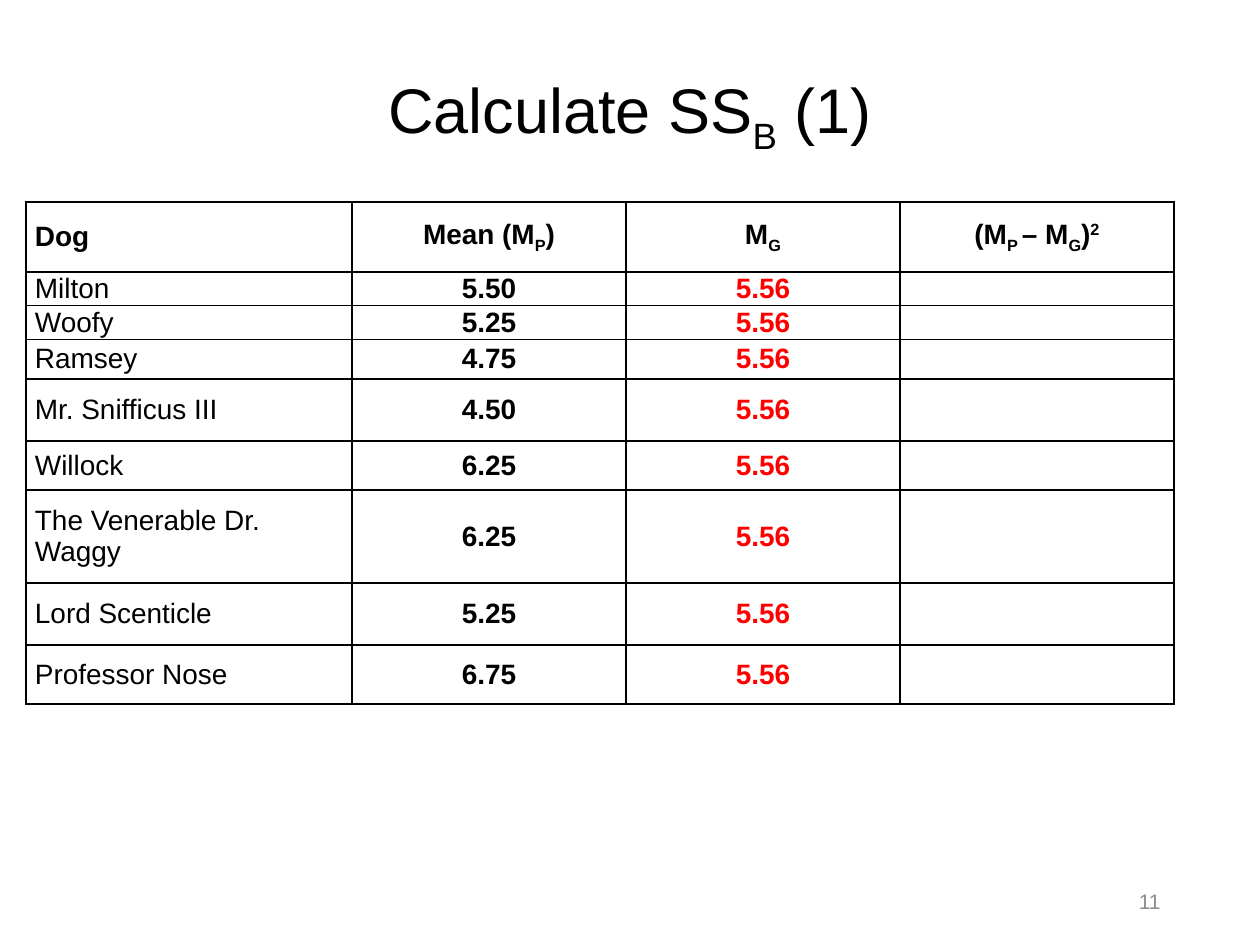
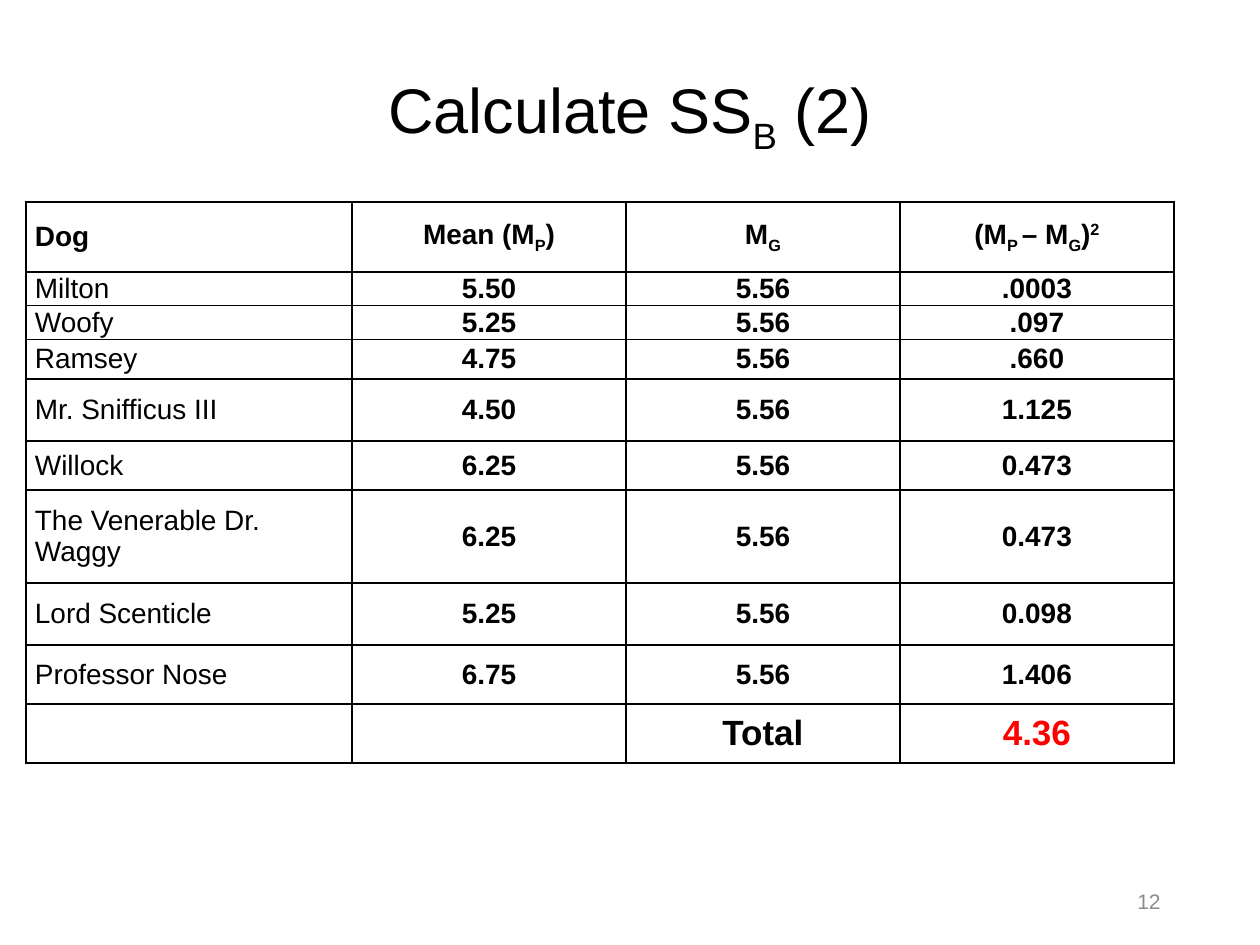
from dataclasses import dataclass

from lxml import etree
from pptx import Presentation
from pptx.dml.color import RGBColor
from pptx.enum.text import MSO_ANCHOR, PP_ALIGN
from pptx.oxml.ns import qn
from pptx.util import Emu, Pt

PX = 914400 / 126
BLACK = RGBColor(0x00, 0x00, 0x00)
RED = RGBColor(0xFF, 0x00, 0x00)
GREY = RGBColor(0x8C, 0x8C, 0x8C)
FONT = "Arial"
LEFT, CENTER, RIGHT = PP_ALIGN.LEFT, PP_ALIGN.CENTER, PP_ALIGN.RIGHT
MIDDLE = MSO_ANCHOR.MIDDLE
SUB, SUPER = -25, 30
COL_WIDTHS = (326, 274, 274, 274)
HEADER_HEIGHT, TOTAL_HEIGHT = 70, 59
GRAND_MEAN = "5.56"


@dataclass(frozen=True)
class Span:
    text: str
    baseline: int = 0


@dataclass(frozen=True)
class Style:
    size: int
    color: RGBColor = BLACK
    bold: bool = False
    align: PP_ALIGN = CENTER


@dataclass(frozen=True)
class Dog:
    name: str
    mean: str
    squared: str
    height: int


@dataclass(frozen=True)
class Step:
    number: int
    page: int
    mean_color: RGBColor
    solved: bool


TITLE = Style(36)
PAGE = Style(12, GREY, align=RIGHT)
NAME = Style(16, align=LEFT)
HEAD_NAME = Style(16, bold=True, align=LEFT)
VALUE = Style(16, bold=True)
TOTAL = Style(20, bold=True)
TOTAL_VALUE = Style(20, RED, bold=True)

HEADER = (
    (Span("Dog"),),
    (Span("Mean (M"), Span("P", SUB), Span(")")),
    (Span("M"), Span("G", SUB)),
    (Span("(M"), Span("P ", SUB), Span("– M"), Span("G", SUB), Span(")"), Span("2", SUPER)),
)
DOGS = (
    Dog("Milton", "5.50", ".0003", 12),
    Dog("Woofy", "5.25", ".097", 31),
    Dog("Ramsey", "4.75", ".660", 40),
    Dog("Mr. Snifficus III", "4.50", "1.125", 62),
    Dog("Willock", "6.25", "0.473", 49),
    Dog("The Venerable Dr. Waggy", "6.25", "0.473", 93),
    Dog("Lord Scenticle", "5.25", "0.098", 62),
    Dog("Professor Nose", "6.75", "1.406", 59),
)
STEPS = (Step(1, 11, RED, False), Step(2, 12, BLACK, True))


def px(length: int) -> Emu:
    return Emu(round(length * PX))


def write(tf, spans: tuple[Span, ...], style: Style):
    p = tf.paragraphs[0]
    p.alignment = style.align
    for span in spans:
        r = p.add_run()
        r.text = span.text
        r.font.name = FONT
        r.font.size = Pt(style.size)
        r.font.bold = style.bold
        r.font.color.rgb = style.color
        if span.baseline:
            r._r.get_or_add_rPr().set("baseline", str(span.baseline * 1000))
    if not spans:
        etree.SubElement(p._p, qn("a:endParaRPr"), sz=str(style.size * 100))
    return p


def add_text(s, box: tuple[int, int, int, int], spans: tuple[Span, ...], style: Style):
    tf = s.shapes.add_textbox(*map(px, box)).text_frame
    tf.word_wrap = True
    tf.vertical_anchor = MIDDLE
    return write(tf, spans, style)


def add_borders(cell) -> None:
    tc_pr = cell._tc.get_or_add_tcPr()
    for i, side in enumerate(("lnL", "lnR", "lnT", "lnB")):
        ln = etree.Element(qn(f"a:{side}"), w=str(Pt(1)))
        fill = etree.SubElement(ln, qn("a:solidFill"))
        etree.SubElement(fill, qn("a:srgbClr"), val=str(BLACK))
        tc_pr.insert(i, ln)


def fill_cell(cell, spans: tuple[Span, ...], style: Style) -> None:
    cell.margin_left = cell.margin_right = px(9)
    cell.margin_top = cell.margin_bottom = 0
    cell.vertical_anchor = MIDDLE
    cell.fill.background()
    add_borders(cell)
    write(cell.text_frame, spans, style)


def plain(text: str) -> tuple[Span, ...]:
    return (Span(text),) if text else ()


def table_rows(step: Step) -> list:
    rows = [(HEADER_HEIGHT, list(zip(HEADER, (HEAD_NAME, VALUE, VALUE, VALUE))))]
    mean_style = Style(16, step.mean_color, bold=True)
    for dog in DOGS:
        texts = (dog.name, dog.mean, GRAND_MEAN, dog.squared if step.solved else "")
        styles = (NAME, VALUE, mean_style, VALUE)
        rows.append((dog.height, list(zip(map(plain, texts), styles))))
    if step.solved:
        texts = ("", "", "Total", "4.36")
        styles = (NAME, VALUE, TOTAL, TOTAL_VALUE)
        rows.append((TOTAL_HEIGHT, list(zip(map(plain, texts), styles))))
    return rows


def add_dog_table(s, step: Step) -> None:
    rows = table_rows(step)
    box = (26, 202, sum(COL_WIDTHS), sum(height for height, _ in rows))
    table = s.shapes.add_table(len(rows), len(COL_WIDTHS), *map(px, box)).table
    table.first_row = table.horz_banding = False
    for column, width in zip(table.columns, COL_WIDTHS):
        column.width = px(width)
    for i, (height, cells) in enumerate(rows):
        table.rows[i].height = px(height)
        for j, (spans, style) in enumerate(cells):
            fill_cell(table.cell(i, j), spans, style)


def add_step_slide(prs, step: Step) -> None:
    s = prs.slides.add_slide(prs.slide_layouts[6])
    title = (Span("Calculate SS"), Span("B", SUB), Span(f" ({step.number})"))
    add_text(s, (87, 19, 1086, 183), title, TITLE).line_spacing = 0.9
    add_dog_table(s, step)
    add_text(s, (890, 876, 283, 50), plain(str(step.page)), PAGE)


def main() -> None:
    """Build the two slides that work out the between-groups sum of squares."""
    prs = Presentation()
    prs.slide_width, prs.slide_height = px(1260), px(945)
    for step in STEPS:
        add_step_slide(prs, step)
    prs.save("out.pptx")


if __name__ == "__main__":
    main()
